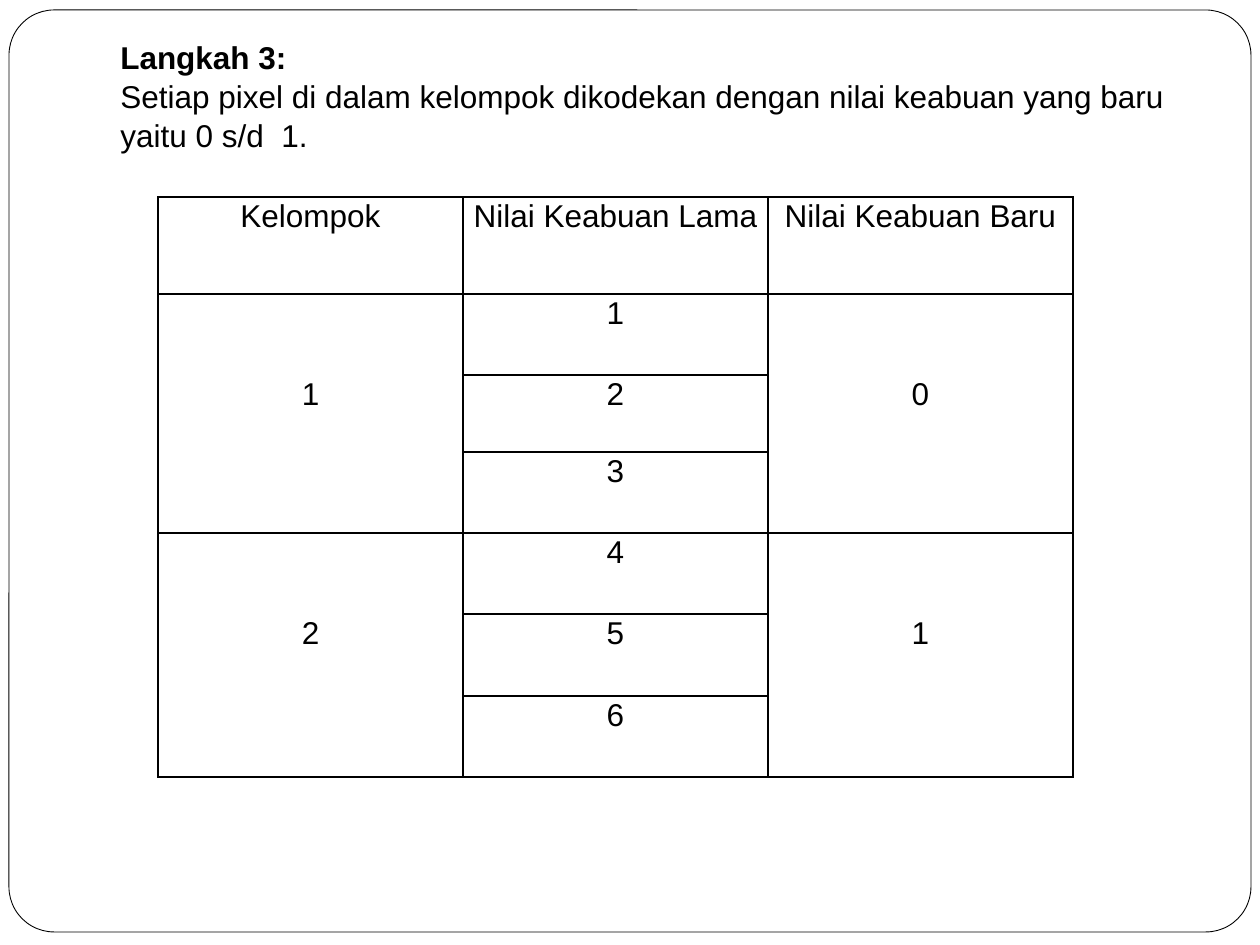
from lxml.etree import SubElement
from pptx import Presentation
from pptx.dml.color import RGBColor
from pptx.enum.shapes import MSO_SHAPE
from pptx.enum.text import PP_ALIGN
from pptx.oxml.ns import qn
from pptx.util import Emu, Pt

# Content
HEADING = "Langkah 3:"
BODY = ("Setiap pixel di dalam kelompok dikodekan dengan nilai keabuan "
        "yang baru yaitu 0 s/d  1.")
HEADERS = ("Kelompok", "Nilai Keabuan Lama", "Nilai Keabuan Baru")
GROUPS = [("1", ("1", "2", "3"), "0"), ("2", ("4", "5", "6"), "1")]

# Layout, in pixels
FRAME = (9, 10, 1242, 922)
TITLE = (108, 31, 1071, 125)
TABLE_LEFT, TABLE_TOP = 158, 197
COLUMN_WIDTH = 305
ROW_HEIGHTS = (97, 81, 77, 81, 81, 82, 81)

BLACK = RGBColor(0, 0, 0)
WHITE = RGBColor(255, 255, 255)
FONT, SIZE = "Arial", Pt(18)


def px(length):
    return Emu(round(length * 914400 / 126))


def set_font(font):
    font.name, font.size, font.color.rgb = FONT, SIZE, BLACK


def set_border(cell, side, visible):
    line = SubElement(cell._tc.get_or_add_tcPr(), qn(f"a:ln{side}"), w=str(Pt(1)))
    if visible:
        fill = SubElement(line, qn("a:solidFill"))
        SubElement(fill, qn("a:srgbClr"), val=str(BLACK))
    else:
        SubElement(line, qn("a:noFill"))


deck = Presentation()
deck.slide_width, deck.slide_height = px(1260), px(945)
page = deck.slides.add_slide(deck.slide_layouts[6])

# Rounded frame
frame = page.shapes.add_shape(MSO_SHAPE.ROUNDED_RECTANGLE, *map(px, FRAME))
frame.adjustments[0] = 0.049
frame.shadow.inherit = False
frame.fill.solid()
frame.fill.fore_color.rgb = WHITE
frame.line.color.rgb = BLACK
frame.line.width = Pt(0.5)

# Title text
title = page.shapes.add_textbox(*map(px, TITLE)).text_frame
title.word_wrap = True
for index, text in enumerate((HEADING, BODY)):
    para = title.paragraphs[0] if index == 0 else title.add_paragraph()
    para.text = text
    para.line_spacing = 1.03
    set_font(para.font)
    para.font.bold = index == 0

# Table rows: the group labels sit in the middle row of each group
rows = [HEADERS]
for group, old_values, new_value in GROUPS:
    middle = len(old_values) // 2
    for index, old_value in enumerate(old_values):
        rows.append((group, old_value, new_value) if index == middle
                    else ("", old_value, ""))
group_size = len(GROUPS[0][1])

table = page.shapes.add_table(
    len(rows), len(HEADERS), px(TABLE_LEFT), px(TABLE_TOP),
    px(COLUMN_WIDTH * len(HEADERS)), px(sum(ROW_HEIGHTS))).table
table.first_row = table.horz_banding = False
for column in table.columns:
    column.width = px(COLUMN_WIDTH)

for row_index, (height, texts) in enumerate(zip(ROW_HEIGHTS, rows)):
    table.rows[row_index].height = px(height)
    for column_index, text in enumerate(texts):
        cell = table.cell(row_index, column_index)
        cell.margin_left = cell.margin_right = px(9)
        cell.margin_top = cell.margin_bottom = 0
        para = cell.text_frame.paragraphs[0]
        para.text = text
        para.alignment = PP_ALIGN.CENTER
        para.line_spacing = 1.07
        set_font(para.font)

        # Outer columns have lines only around each group
        inner = column_index == 1
        top = inner or row_index == 0 or row_index % group_size == 1
        bottom = inner or row_index % group_size == 0
        for side, visible in (("L", True), ("R", True), ("T", top), ("B", bottom)):
            set_border(cell, side, visible)
        cell.fill.background()

deck.save("out.pptx")
